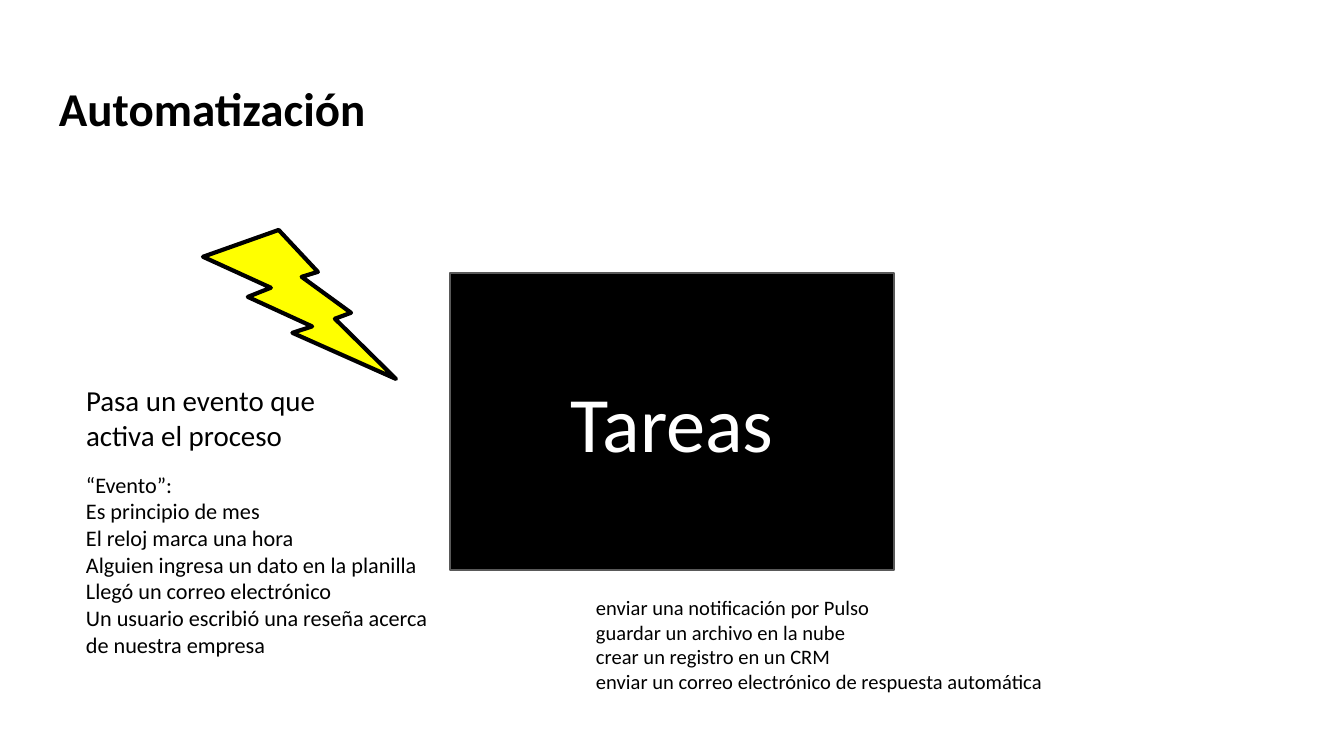
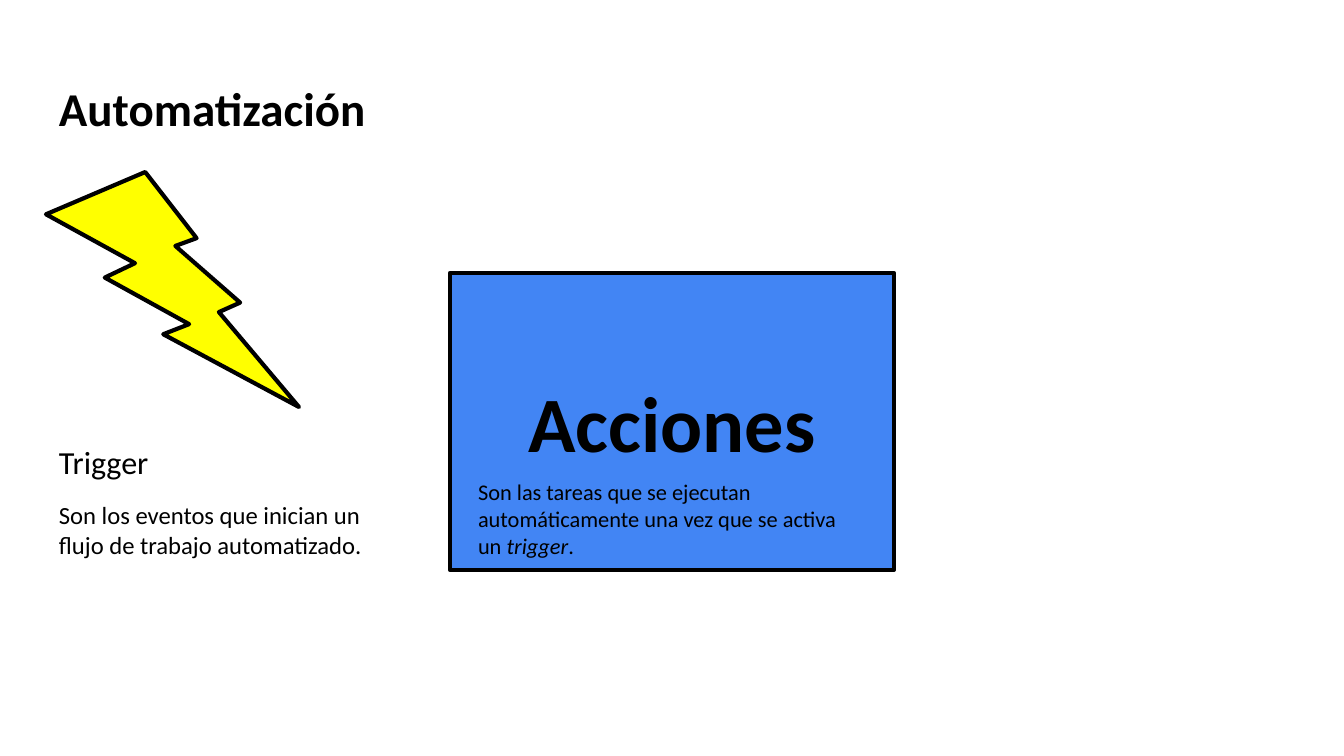
from dataclasses import dataclass

from lxml import etree
from pptx import Presentation
from pptx.dml.color import RGBColor
from pptx.enum.shapes import MSO_SHAPE
from pptx.enum.text import MSO_ANCHOR, MSO_AUTO_SIZE, PP_ALIGN
from pptx.oxml.ns import qn
from pptx.util import Pt

RECTANGLE = MSO_SHAPE.RECTANGLE
BOLT = MSO_SHAPE.LIGHTNING_BOLT
TOP, MIDDLE = MSO_ANCHOR.TOP, MSO_ANCHOR.MIDDLE
LEFT, CENTER = PP_ALIGN.LEFT, PP_ALIGN.CENTER
NO_AUTOFIT = MSO_AUTO_SIZE.NONE


@dataclass(frozen=True)
class Theme:
    font: str = "Calibri"
    black: str = "000000"
    white: str = "FFFFFF"
    gray: str = "595959"
    yellow: str = "FFFF00"
    blue: str = "4285F4"
    title_size: float = 25.2
    box_size: float = 42
    thin_line: float = 0.75
    thick_line: float = 2.25


THEME = Theme()
EMU_PER_INCH = 914400
PX_PER_INCH = 134.4
SLIDE_SIZE = (1344, 756)
INSET = 13
TITLE = "Automatización"
TITLE_AREA = (46, 66, 1253, 85)
BOX_AREA = (450, 273, 444, 297)

SLIDES = [
    {
        "box": {"text": "Tareas", "fill": THEME.black, "color": THEME.white,
                "line": THEME.gray, "width": THEME.thin_line, "bold": False},
        "bolt": (203, 230, 193, 149),
        "texts": [
            ((73, 370, 313, 85), 15.5, ["Pasa un evento que activa el proceso"]),
            ((73, 458, 374, 188), 11.9, [
                "“Evento”:",
                "Es principio de mes",
                "El reloj marca una hora",
                "Alguien ingresa un dato en la planilla",
                "Llegó un correo electrónico",
                "Un usuario escribió una reseña acerca de nuestra empresa",
            ]),
            ((583, 582, 578, 126), 11, [
                "enviar una notificación por Pulso",
                "guardar un archivo en la nube",
                "crear un registro en un CRM",
                "enviar un correo electrónico de respuesta automática",
            ]),
        ],
    },
    {
        "box": {"text": "Acciones", "fill": THEME.blue, "color": THEME.black,
                "line": THEME.black, "width": THEME.thick_line, "bold": True},
        "bolt": (46, 172, 253, 235),
        "texts": [
            ((46, 429, 313, 85), 17.2, ["Trigger"]),
            ((46, 487, 374, 188), 13.2,
             ["Son los eventos que inician un flujo de trabajo automatizado."]),
            ((465, 465, 413, 109), 12, [
                ("Son las tareas que se ejecutan automáticamente una vez que se activa un ",
                 "trigger", "."),
            ]),
        ],
    },
]
ITALIC_WORDS = {"trigger"}


def px(value):
    return round(value * EMU_PER_INCH / PX_PER_INCH)


def place(shape, area):
    shape.left, shape.top, shape.width, shape.height = map(px, area)


def write(shape, paragraphs, size, color=THEME.black, bold=False, align=LEFT, anchor=TOP):
    frame = shape.text_frame
    frame.word_wrap = True
    frame.auto_size = NO_AUTOFIT
    frame.vertical_anchor = anchor
    frame.margin_left = frame.margin_right = px(INSET)
    frame.margin_top = frame.margin_bottom = px(INSET)
    for index, content in enumerate(paragraphs):
        paragraph = frame.add_paragraph() if index else frame.paragraphs[0]
        paragraph.alignment = align
        paragraph.font.name = THEME.font
        paragraph.font.size = Pt(size)
        paragraph.font.bold = bold
        paragraph.font.color.rgb = RGBColor.from_string(color)
        for text in (content,) if isinstance(content, str) else content:
            run = paragraph.add_run()
            run.text = text
            if text in ITALIC_WORDS:
                run.font.italic = True


def add_filled_shape(slide, kind, area, fill, line, width):
    shape = slide.shapes.add_shape(kind, *map(px, area))
    shape.shadow.inherit = False
    shape.fill.solid()
    shape.fill.fore_color.rgb = RGBColor.from_string(fill)
    shape.line.color.rgb = RGBColor.from_string(line)
    shape.line.width = Pt(width)
    etree.SubElement(shape.line._get_or_add_ln(), qn("a:round"))
    return shape


def build_slide(presentation, content):
    slide = presentation.slides.add_slide(presentation.slide_layouts.get_by_name("Title Only"))
    title = slide.shapes.title
    place(title, TITLE_AREA)
    write(title, [TITLE], THEME.title_size, bold=True)

    box = content["box"]
    shape = add_filled_shape(slide, RECTANGLE, BOX_AREA, box["fill"], box["line"], box["width"])
    write(shape, [box["text"]], THEME.box_size, box["color"], box["bold"], CENTER, MIDDLE)
    add_filled_shape(slide, BOLT, content["bolt"], THEME.yellow, THEME.black, THEME.thick_line)

    for area, size, paragraphs in content["texts"]:
        write(slide.shapes.add_textbox(*map(px, area)), paragraphs, size)


def main():
    presentation = Presentation()
    presentation.slide_width, presentation.slide_height = map(px, SLIDE_SIZE)
    for content in SLIDES:
        build_slide(presentation, content)
    presentation.save("out.pptx")


if __name__ == "__main__":
    main()
